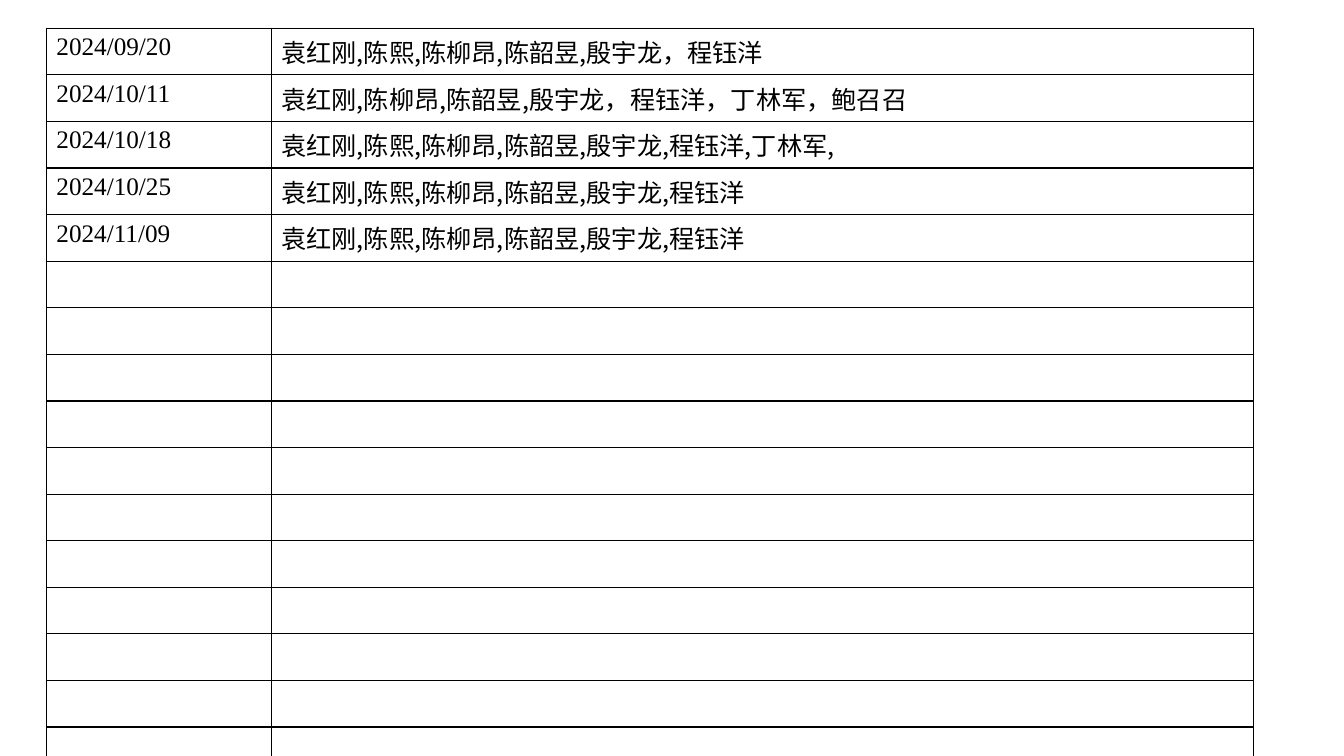
from lxml import etree
from pptx import Presentation
from pptx.dml.color import RGBColor
from pptx.enum import text
from pptx.oxml import ns
from pptx.util import Inches, Pt

INK = "000000"
DATE_FONT, NAME_FONT = "Times New Roman", "Noto Sans CJK SC"
ROW_COUNT = 17
COLUMN_WIDTHS = (2.23, 9.74)
TABLE_HEIGHT = 7.86
JUSTIFY, LEFT = text.PP_ALIGN.JUSTIFY, text.PP_ALIGN.LEFT

attendance = [
    ("2024/09/20", "袁红刚,陈熙,陈柳昂,陈韶昱,殷宇龙，程钰洋", JUSTIFY),
    ("2024/10/11", "袁红刚,陈柳昂,陈韶昱,殷宇龙，程钰洋，丁林军，鲍召召", JUSTIFY),
    ("2024/10/18", "袁红刚,陈熙,陈柳昂,陈韶昱,殷宇龙,程钰洋,丁林军,", LEFT),
    ("2024/10/25", "袁红刚,陈熙,陈柳昂,陈韶昱,殷宇龙,程钰洋", LEFT),
    ("2024/11/09", "袁红刚,陈熙,陈柳昂,陈韶昱,殷宇龙,程钰洋", LEFT),
]


def write_cell(cell, words, font_name, alignment):
    para = cell.text_frame.paragraphs[0]
    para.alignment = alignment
    span = para.add_run()
    span.text = words
    for name, value in {"name": font_name, "size": Pt(18)}.items():
        setattr(span.font, name, value)
    span.font.color.rgb = RGBColor.from_string(INK)
    east_asian = etree.SubElement(span.font._element, ns.qn("a:ea"))
    east_asian.set("typeface", font_name)


def outline_cell(cell, color, points):
    """Draw all four borders and leave the cell unfilled."""
    properties = cell._tc.get_or_add_tcPr()
    for side in ("lnL", "lnR", "lnT", "lnB"):
        line = etree.SubElement(properties, ns.qn(f"a:{side}"), w=str(Pt(points)))
        fill = etree.SubElement(line, ns.qn("a:solidFill"))
        etree.SubElement(fill, ns.qn("a:srgbClr"), val=color)
    cell.fill.background()


deck = Presentation()
deck.slide_width, deck.slide_height = Inches(13.33), Inches(7.5)
page = deck.slides.add_slide(deck.slide_layouts[6])

table = page.shapes.add_table(
    ROW_COUNT, len(COLUMN_WIDTHS), Inches(0.46), Inches(0.28),
    Inches(sum(COLUMN_WIDTHS)), Inches(TABLE_HEIGHT),
).table
table.first_row = table.horz_banding = False
for column, width in zip(table.columns, COLUMN_WIDTHS):
    column.width = Inches(width)
for cell in table.iter_cells():
    outline_cell(cell, INK, 1)

for row, (date, names, alignment) in zip(table.rows, attendance):
    write_cell(row.cells[0], date, DATE_FONT, LEFT)
    write_cell(row.cells[1], names, NAME_FONT, alignment)

deck.save("out.pptx")
